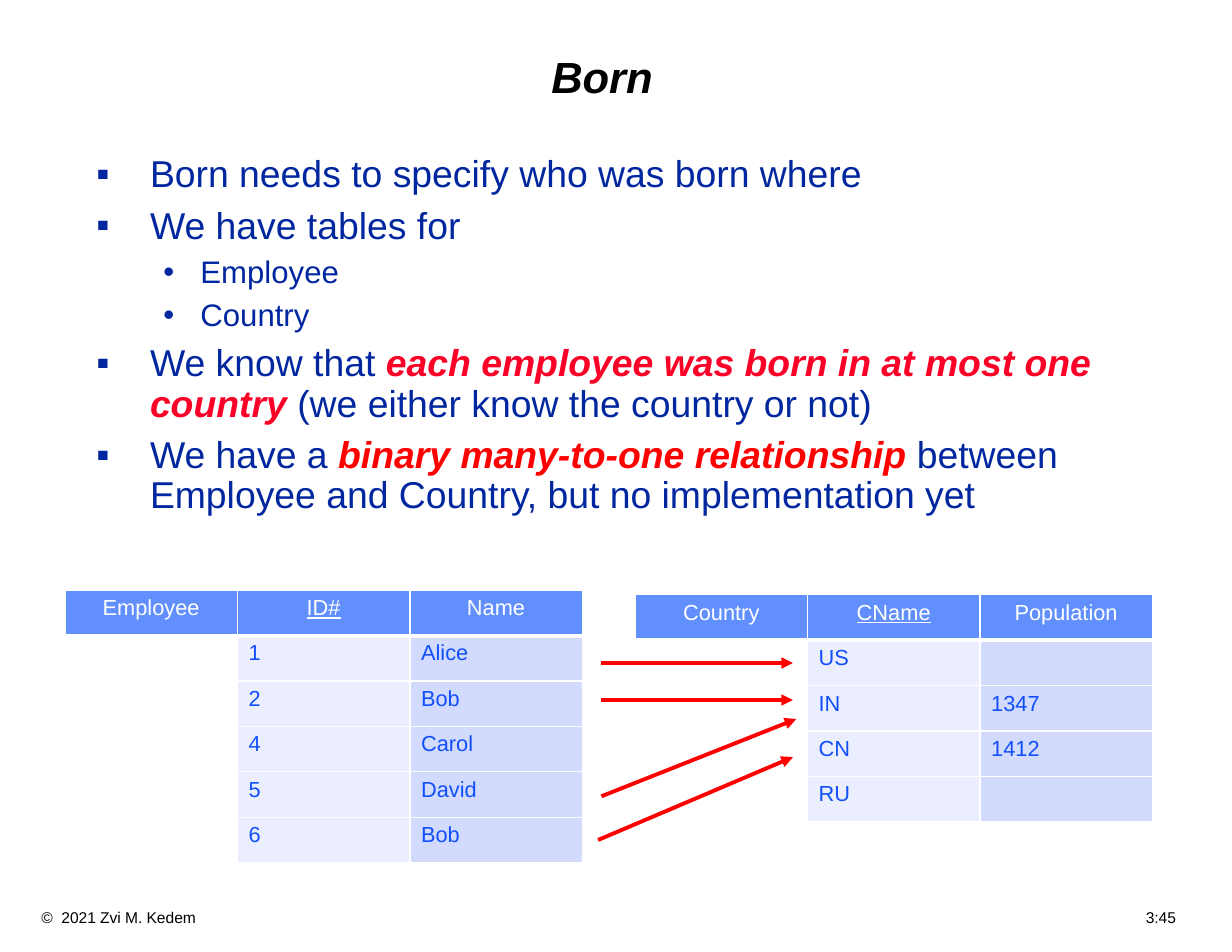
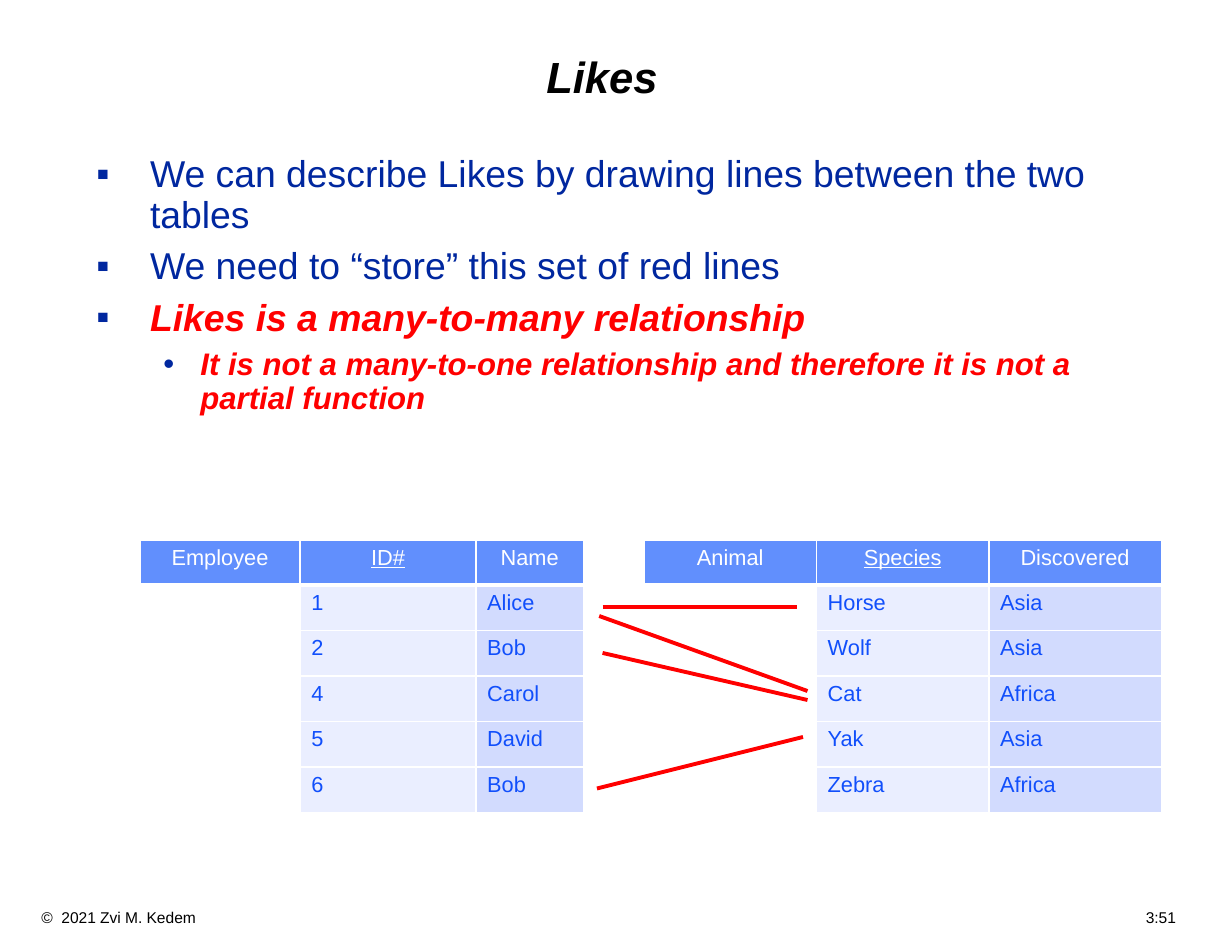
from dataclasses import dataclass

from lxml import etree
from pptx import Presentation
from pptx.dml.color import RGBColor
from pptx.enum.shapes import MSO_CONNECTOR as Connector
from pptx.enum.text import MSO_ANCHOR as Anchor, MSO_AUTO_SIZE as AutoSize, PP_ALIGN as Align
from pptx.oxml.ns import qn
from pptx.util import Inches, Pt

# Shared look
FONT = "Arial"
BLACK, WHITE, NAVY = "000000", "FFFFFF", "00279F"
RED, CRIMSON = "FF0000", "FC0128"
HEADER_FILL, CELL_TEXT = "618FFD", "114FFB"
COLUMN_FILLS = (WHITE, "EAEEFF", "D2DBFE")
COPYRIGHT = "©  2021 Zvi M. Kedem"


@dataclass(frozen=True)
class Level:
    bullet: str
    size: int
    left: float
    hang: float


LEVELS = (Level("▪", 24, 0.48, 0.48), Level("•", 20, 0.93, 0.33))


@dataclass(frozen=True)
class Piece:
    text: str
    accent: str = ""  # a colour makes the piece bold italic


@dataclass(frozen=True)
class Point:
    pieces: tuple[Piece, ...]
    level: int = 0


@dataclass(frozen=True)
class Relation:
    left: float
    top: float
    width: float
    height: float
    header: tuple[str, str, str]  # relation name, key, attribute
    rows: tuple[tuple[str, str], ...]
    columns: tuple[float, ...] = ()


@dataclass(frozen=True)
class Link:
    x1: float
    y1: float
    x2: float
    y2: float


@dataclass(frozen=True)
class Page:
    title: str
    number: str
    points: tuple[Point, ...]
    relations: tuple[Relation, ...]
    links: tuple[Link, ...]
    arrows: bool


def rgb(value: str) -> RGBColor:
    return RGBColor.from_string(value)


def set_attrs(target, values: dict) -> None:
    for name, value in values.items():
        setattr(target, name, value)


def add_run(p, text: str, size: float, color: str, **style) -> None:
    r = p.add_run()
    r.text = text
    set_attrs(r.font, {"name": FONT, "size": Pt(size), **style})
    r.font.color.rgb = rgb(color)


def set_frame(tf, **extra) -> None:
    set_attrs(tf, {"word_wrap": True, "auto_size": AutoSize.NONE,
                   "margin_left": Inches(0.11), "margin_right": Inches(0.11),
                   "margin_top": Inches(0.06), "margin_bottom": Inches(0.06), **extra})


def add_box(s, left: float, top: float, width: float, height: float):
    return s.shapes.add_textbox(*map(Inches, (left, top, width, height))).text_frame


def add_title(s, text: str) -> None:
    sp = s.shapes.title
    set_attrs(sp, {"left": Inches(0.75), "top": Inches(0.25),
                   "width": Inches(9.25), "height": Inches(0.92)})
    set_frame(sp.text_frame, vertical_anchor=Anchor.MIDDLE)
    p = sp.text_frame.paragraphs[0]
    set_attrs(p, {"alignment": Align.CENTER, "line_spacing": 0.9})
    add_run(p, text, 28, BLACK, bold=True, italic=True)


def add_footer(s, number: str) -> None:
    tf = add_box(s, 0, 8.06, 11, 0.27)
    set_frame(tf, margin_left=Inches(0.37), margin_top=Inches(0.05))
    p = tf.paragraphs[0]
    tabs = etree.SubElement(p._p.get_or_add_pPr(), qn("a:tabLst"))
    etree.SubElement(tabs, qn("a:tab"), pos=str(Inches(10.13)), algn="r")
    add_run(p, f"{COPYRIGHT}\t{number}", 10, BLACK)


def add_bullet(p, level: Level) -> None:
    pPr = p._p.get_or_add_pPr()
    pPr.set("marL", str(Inches(level.left)))
    pPr.set("indent", str(-Inches(level.hang)))
    color = etree.SubElement(pPr, qn("a:buClr"))
    etree.SubElement(color, qn("a:srgbClr"), val=NAVY)
    etree.SubElement(pPr, qn("a:buFont"), typeface=FONT)
    etree.SubElement(pPr, qn("a:buChar"), char=level.bullet)


def add_points(s, points: tuple[Point, ...]) -> None:
    tf = add_box(s, 0.75, 1.33, 9.33, 6.67)
    set_frame(tf)
    for i, point in enumerate(points):
        p = tf.add_paragraph() if i else tf.paragraphs[0]
        level = LEVELS[point.level]
        add_bullet(p, level)
        set_attrs(p, {"level": point.level, "line_spacing": 0.9,
                      "space_before": Pt(0.3 * level.size if i else 0)})
        for piece in point.pieces:
            strong = bool(piece.accent)
            add_run(p, piece.text, level.size, piece.accent or NAVY, bold=strong, italic=strong)


def set_borders(cell, bottom: float) -> None:
    tcPr = cell._tc.get_or_add_tcPr()
    for i, (side, width) in enumerate({"L": 1, "R": 1, "T": 1, "B": bottom}.items()):
        line = etree.Element(qn(f"a:ln{side}"), w=str(Pt(width)))
        fill = etree.SubElement(line, qn("a:solidFill"))
        etree.SubElement(fill, qn("a:srgbClr"), val=WHITE)
        tcPr.insert(i, line)  # borders come before the fill


def add_relation(s, rel: Relation) -> None:
    place = map(Inches, (rel.left, rel.top, rel.width, rel.height))
    table = s.shapes.add_table(len(rel.rows) + 1, len(rel.header), *place).table
    table.horz_banding = False
    for column, width in zip(table.columns, rel.columns):
        column.width = Inches(width)
    grid = (rel.header, *(("", *row) for row in rel.rows))
    for i, row in enumerate(grid):
        for j, text in enumerate(row):
            cell, head = table.cell(i, j), i == 0
            cell.fill.solid()
            cell.fill.fore_color.rgb = rgb(HEADER_FILL if head else COLUMN_FILLS[j])
            set_borders(cell, 3 if head else 1)
            if text:
                p = cell.text_frame.paragraphs[0]
                p.alignment = Align.CENTER if head else Align.LEFT
                add_run(p, text, 14, WHITE if head else CELL_TEXT,
                        bold=False, underline=head and j == 1)


def add_link(s, link: Link, arrow: bool) -> None:
    ends = map(Inches, (link.x1, link.y1, link.x2, link.y2))
    line = s.shapes.add_connector(Connector.STRAIGHT, *ends)
    line.line.color.rgb = rgb(RED)
    line.line.width = Pt(2.5)
    if arrow:
        etree.SubElement(line.line._get_or_add_ln(), qn("a:tailEnd"), type="triangle")
    etree.SubElement(line._element.spPr, qn("a:effectLst"))


def add_page(prs, page: Page) -> None:
    s = prs.slides.add_slide(prs.slide_layouts[5])
    add_footer(s, page.number)
    add_title(s, page.title)
    add_points(s, page.points)
    for rel in page.relations:
        add_relation(s, rel)
    for link in page.links:
        add_link(s, link, page.arrows)


# Content
EMPLOYEE_HEADER = ("Employee", "ID#", "Name")
EMPLOYEES = (("1", "Alice"), ("2", "Bob"), ("4", "Carol"), ("5", "David"), ("6", "Bob"))

BORN = Page(
    title="Born",
    number="3:45",
    points=(
        Point((Piece("Born needs to specify who was born where"),)),
        Point((Piece("We have tables for"),)),
        Point((Piece("Employee"),), 1),
        Point((Piece("Country"),), 1),
        Point((Piece("We know that "),
               Piece("each employee was born in at most one country", CRIMSON),
               Piece(" (we either know the country or not)"))),
        Point((Piece("We have a "),
               Piece("binary many-to-one relationship ", RED),
               Piece("between Employee and Country, but no implementation yet"))),
    ),
    relations=(
        Relation(0.58, 5.27, 4.62, 2.43, EMPLOYEE_HEADER, EMPLOYEES),
        Relation(5.67, 5.31, 4.62, 2.03, ("Country", "CName", "Population"),
                 (("US", ""), ("IN", "1347"), ("CN", "1412"), ("RU", ""))),
    ),
    links=(
        Link(5.37, 5.92, 7.08, 5.92),
        Link(5.37, 6.25, 7.08, 6.25),
        Link(5.37, 7.11, 7.11, 6.42),
        Link(5.34, 7.5, 7.08, 6.76),
    ),
    arrows=True,
)

LIKES = Page(
    title="Likes",
    number="3:51",
    points=(
        Point((Piece("We can describe Likes by drawing lines between the two tables"),)),
        Point((Piece("We need to “store” this set of red lines"),)),
        Point((Piece("Likes is a many-to-many relationship", RED),)),
        Point((Piece("It is not a many-to-one relationship and therefore "
                     "it is not a partial function", RED),), 1),
    ),
    relations=(
        Relation(5.75, 4.82, 4.62, 2.43, ("Animal", "Species", "Discovered"),
                 (("Horse", "Asia"), ("Wolf", "Asia"), ("Cat", "Africa"),
                  ("Yak", "Asia"), ("Zebra", "Africa"))),
        Relation(1.25, 4.82, 3.96, 2.43, EMPLOYEE_HEADER, EMPLOYEES, (1.43, 1.57, 0.96)),
    ),
    links=(
        Link(5.35, 5.5, 7.21, 6.17),
        Link(5.38, 5.83, 7.21, 6.25),
        Link(5.33, 7.04, 7.17, 6.58),
        Link(5.38, 5.42, 7.12, 5.42),
    ),
    arrows=False,
)


def main() -> None:
    prs = Presentation()
    set_attrs(prs, {"slide_width": Inches(11), "slide_height": Inches(8.5)})
    for page in (BORN, LIKES):
        add_page(prs, page)
    prs.save("out.pptx")


if __name__ == "__main__":
    main()
